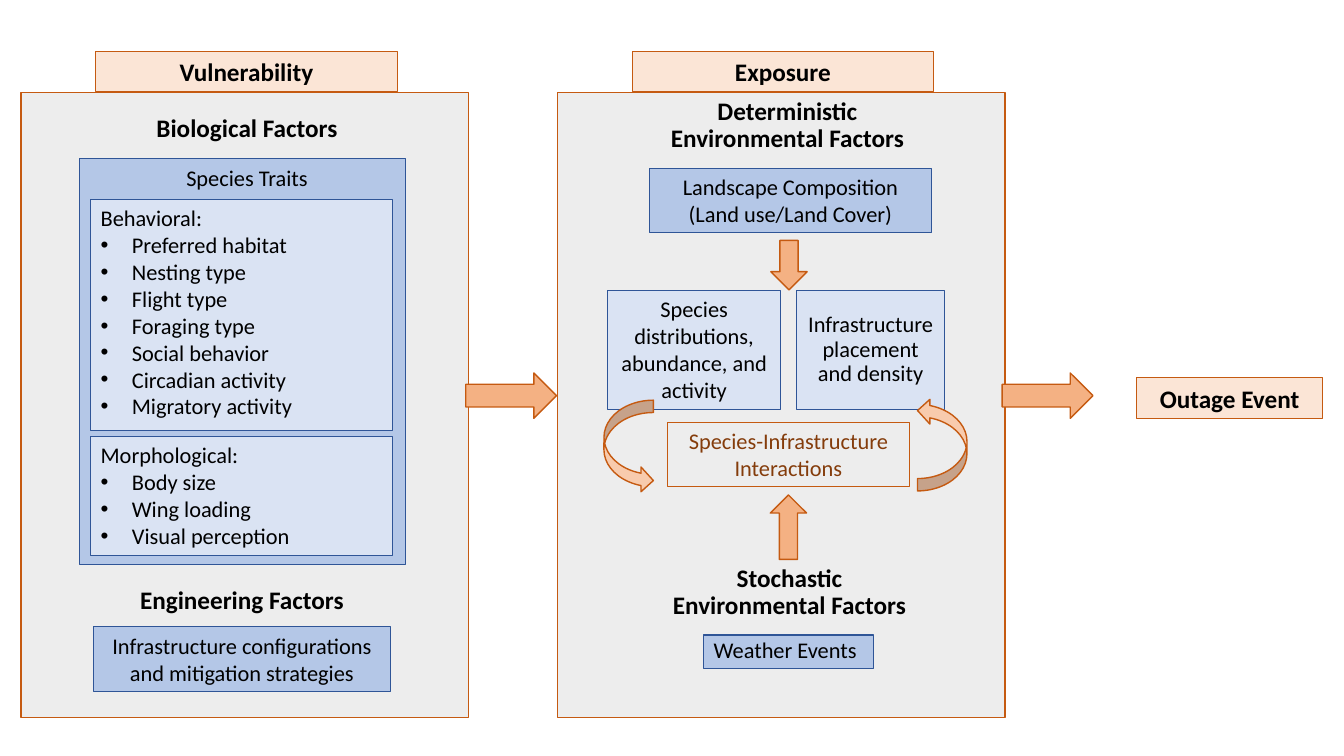
import pptx
import pptx.util
import pptx.dml.color
import pptx.enum.shapes
import pptx.enum.text
import pptx.oxml.ns
import lxml.etree

RGBColor = pptx.dml.color.RGBColor
SHAPE = pptx.enum.shapes.MSO_SHAPE
ALIGN = pptx.enum.text.PP_ALIGN
ANCHOR = pptx.enum.text.MSO_ANCHOR
AUTO_SIZE = pptx.enum.text.MSO_AUTO_SIZE

BLACK = RGBColor(0x00, 0x00, 0x00)
BROWN = RGBColor(0x84, 0x3C, 0x0B)
RUST = RGBColor(0xC5, 0x5A, 0x11)
ORANGE = RGBColor(0xF4, 0xB1, 0x83)
PEACH = RGBColor(0xF8, 0xCB, 0xAD)
CREAM = RGBColor(0xFB, 0xE5, 0xD6)
GREY = RGBColor(0xED, 0xED, 0xED)
NAVY = RGBColor(0x2F, 0x55, 0x97)
BLUE = RGBColor(0xB4, 0xC7, 0xE7)
PALE_BLUE = RGBColor(0xDA, 0xE3, 0xF3)

FONT = "Calibri"
COLUMNS, ROWS = 133.3, 75  # grid cells of a tenth of an inch
CELL = pptx.util.Inches(0.1)
PANEL_STEP = 53.2
PANEL_LEFT, PANEL_TOP, PANEL_WIDTH, PANEL_HEIGHT = 2.1, 9.2, 44.4, 62


def cells(*counts):
    """Turn counts of grid cells into lengths."""
    return [round(count * CELL) for count in counts]


def add_bullet(paragraph):
    properties = paragraph._p.get_or_add_pPr()
    indent = pptx.util.Inches(0.31)
    properties.set("marL", str(indent))
    properties.set("indent", str(-indent))
    for tag, name, value in (("a:buFont", "typeface", "Arial"), ("a:buChar", "char", "•")):
        element = lxml.etree.SubElement(properties, pptx.oxml.ns.qn(tag))
        element.set(name, value)


def write_text(shape, lines, size=16, bold=False, color=BLACK, align=ALIGN.CENTER,
               anchor=ANCHOR.TOP, spacing=None, grow=False, bullets=False):
    """Fill a shape with one paragraph a line; bullets start at the second."""
    frame = shape.text_frame
    frame.word_wrap = True
    frame.vertical_anchor = anchor
    frame.auto_size = AUTO_SIZE.SHAPE_TO_FIT_TEXT if grow else AUTO_SIZE.NONE
    for index, line in enumerate(lines):
        paragraph = frame.add_paragraph() if index else frame.paragraphs[0]
        if bullets and index:
            add_bullet(paragraph)
        paragraph.alignment = align
        if spacing:
            paragraph.line_spacing = spacing
        run = paragraph.add_run()
        run.text = line
        run.font.name = FONT
        run.font.size = pptx.util.Pt(size)
        run.font.bold = bold
        run.font.color.rgb = color


def add_figure(slide, kind, place, fill, line, width=1.0, rotation=0):
    shape = slide.shapes.add_shape(kind, *cells(*place))
    shape.shadow.inherit = False
    shape.rotation = rotation
    if fill is None:
        shape.fill.background()
    else:
        shape.fill.solid()
        shape.fill.fore_color.rgb = fill
    shape.line.color.rgb = line
    shape.line.width = pptx.util.Pt(width)
    return shape


def add_box(slide, place, lines, fill=BLUE, line=NAVY, grow=True, **text_format):
    shape = add_figure(slide, SHAPE.RECTANGLE, place, fill, line, 0.75)
    write_text(shape, lines, grow=grow, **text_format)


def add_label(slide, place, text, **text_format):
    label = slide.shapes.add_textbox(*cells(*place))
    write_text(label, [text], anchor=ANCHOR.BOTTOM, **text_format)


def add_heading(slide, left, top, text):
    add_label(slide, (left, top, 26.4, 4.9), text, size=18, bold=True, spacing=0.9)


def add_tag(slide, left, top, width, text):
    add_box(slide, (left, top, width, 4), [text], CREAM, RUST, size=18, bold=True)


def add_panel(slide, index, title):
    left = PANEL_LEFT + index * PANEL_STEP
    place = (left, PANEL_TOP, PANEL_WIDTH, PANEL_HEIGHT)
    add_figure(slide, SHAPE.RECTANGLE, place, GREY, RUST)
    add_tag(slide, left + 7.4, PANEL_TOP - 4.1, 29.9, title)


def add_arrow(slide, place, rotation=0):
    add_figure(slide, SHAPE.RIGHT_ARROW, place, ORANGE, RUST, rotation=rotation)


def add_vulnerability(slide):
    add_heading(slide, 11.3, 9.8, "Biological Factors")
    add_figure(slide, SHAPE.RECTANGLE, (7.9, 15.7, 32.3, 40.3), BLUE, NAVY)
    add_label(slide, (16.2, 16.1, 16.6, 3.3), "Species Traits", spacing=0.8)
    traits = (
        (19.8, 22.9, ["Behavioral:", "Preferred habitat", "Nesting type", "Flight type",
                      "Foraging type", "Social behavior", "Circadian activity",
                      "Migratory activity"]),
        (43.3, 11.8, ["Morphological:", "Body size", "Wing loading", "Visual perception"]),
    )
    for top, height, lines in traits:
        add_box(slide, (9, top, 29.9, height), lines, PALE_BLUE,
                align=ALIGN.LEFT, bullets=True)
    add_heading(slide, 10.8, 56.6, "Engineering Factors")
    add_box(slide, (9.3, 62.2, 29.4, 6.4),
            ["Infrastructure configurations and mitigation strategies"])


def add_exposure(slide):
    add_heading(slide, 64.9, 10.8, "Deterministic Environmental Factors")
    add_box(slide, (64.4, 16.7, 28, 6.4), ["Landscape Composition", "(Land use/Land Cover)"])
    add_box(slide, (60.3, 28.8, 17.1, 11.8),
            ["Species distributions, abundance, and activity"], PALE_BLUE)
    add_box(slide, (79, 28.8, 14.7, 11.8), ["Infrastructure placement and density"], PALE_BLUE,
            grow=False, anchor=ANCHOR.MIDDLE, spacing=0.9)
    add_box(slide, (66.2, 41.9, 24, 6.4), ["Species-Infrastructure Interactions"], None, RUST,
            color=BROWN)
    add_heading(slide, 65.1, 57.1, "Stochastic Environmental Factors")
    add_box(slide, (69.8, 63, 16.8, 3.3), ["Weather Events"], grow=False,
            align=ALIGN.LEFT, anchor=ANCHOR.BOTTOM, spacing=0.9)
    add_arrow(slide, (75.8, 24.5, 4.9, 3.6), 90)
    add_arrow(slide, (75, 50.5, 6.4, 3.6), 270)
    for left, top, rotation in ((59.9, 39.7, 0), (91, 39.5, 180)):
        add_figure(slide, SHAPE.CURVED_RIGHT_ARROW, (left, top, 4.9, 9.2), PEACH, RUST,
                   rotation=rotation)


def main():
    presentation = pptx.Presentation()
    presentation.slide_width, presentation.slide_height = cells(COLUMNS, ROWS)
    slide = presentation.slides.add_slide(presentation.slide_layouts[6])
    for index, title in enumerate(("Vulnerability", "Exposure")):
        add_panel(slide, index, title)
    add_vulnerability(slide)
    add_exposure(slide)
    for index in range(2):
        add_arrow(slide, (46.2 + index * PANEL_STEP, 37, 9, 4.5))
    add_tag(slide, 112.7, 37.5, 18.5, "Outage Event")
    presentation.save("out.pptx")


if __name__ == "__main__":
    main()
